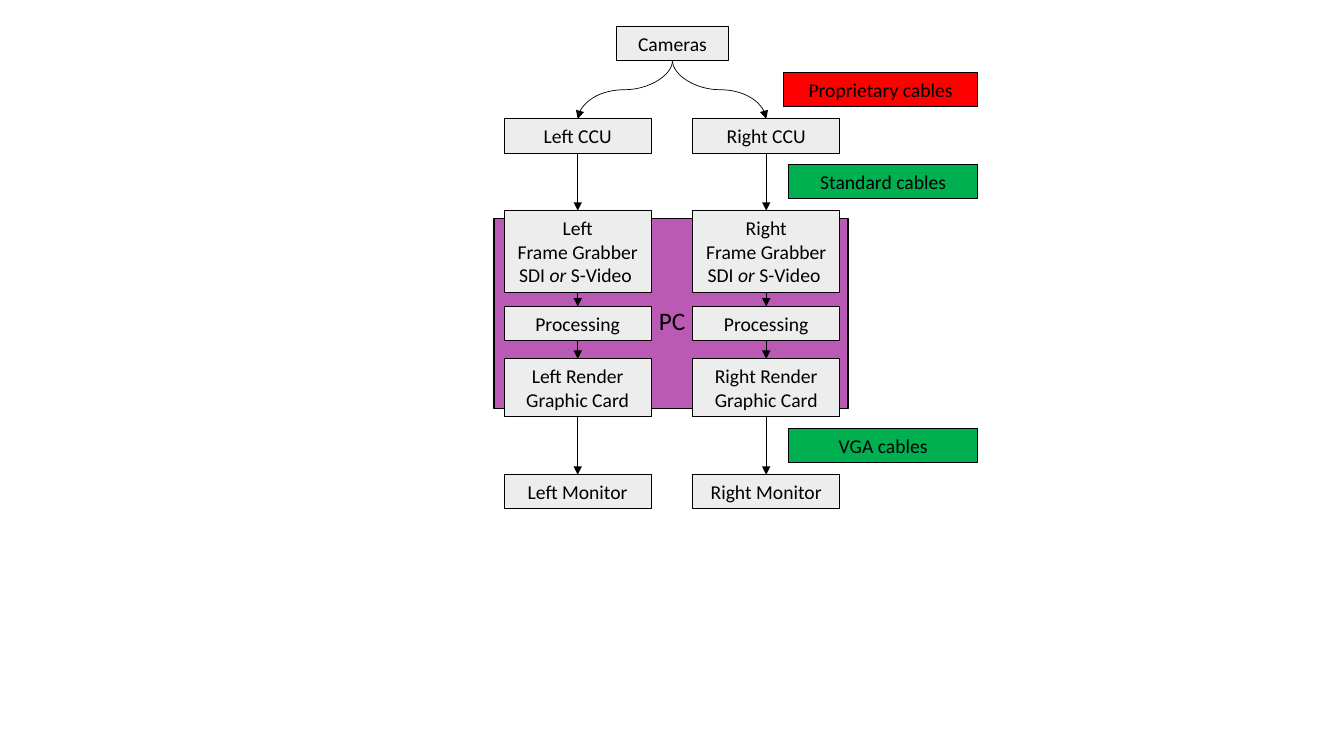
from lxml import etree
from pptx import Presentation
from pptx.dml.color import RGBColor
from pptx.enum.shapes import MSO_CONNECTOR, MSO_SHAPE
from pptx.enum.text import MSO_ANCHOR, PP_ALIGN
from pptx.oxml.ns import qn
from pptx.util import Inches, Pt

RECTANGLE = MSO_SHAPE.RECTANGLE
STRAIGHT, CURVE = MSO_CONNECTOR.STRAIGHT, MSO_CONNECTOR.CURVE
CENTER, MIDDLE = PP_ALIGN.CENTER, MSO_ANCHOR.MIDDLE
TOP, BOTTOM = 0, 2

COLORS = {"ink": "000000", "stage": "EDEDED", "pc": "BB5AB5",
          "closed": "FF0000", "open": "00B050"}
SIDES = {"Left": 5.73, "Right": 7.6}
STAGES = [
    (1.18, 0.34, ["{side} CCU"]),
    (2.09, 0.81, ["{side}", "Frame Grabber", "SDI |or| S-Video "]),
    (3.04, 0.34, ["Processing"]),
    (3.56, 0.57, ["{side} Render", "Graphic Card"]),
    (4.71, 0.34, ["{side} Monitor"]),
]
CABLES = [
    ("Proprietary cables", "closed", 0.72, 1.93),
    ("Standard cables", "open", 1.63, 1.88),
    ("VGA cables", "open", 4.25, 1.88),
]
CAMERAS = (6.11, 0.26, 1.12, 0.34)
PC_CASE = (4.9, 2.17, 3.51, 1.88)
PC_LABEL = (6.42, 2.98, 0.49, 0.4)
STAGE_WIDTH = 1.46
CABLE_RIGHT = 9.7


def color(name):
    return RGBColor.from_string(COLORS[name])


def write(shape, lines, size=14, wrap=True):
    frame = shape.text_frame
    for name, value in {"word_wrap": wrap, "vertical_anchor": MIDDLE}.items():
        setattr(frame, name, value)
    for index, line in enumerate(lines):
        para = frame.add_paragraph() if index else frame.paragraphs[0]
        para.alignment = CENTER
        for part, words in enumerate(line.split("|")):
            span = para.add_run()
            span.text = words
            span.font.color.rgb = color("ink")
            style = {"name": "Calibri", "size": Pt(size), "italic": part == 1}
            for name, value in style.items():
                setattr(span.font, name, value)


def add_box(page, place, fill, lines=(), weight=0.75):
    box = page.shapes.add_shape(RECTANGLE, *map(Inches, place))
    box.shadow.inherit = False
    box.fill.solid()
    box.fill.fore_color.rgb = color(fill)
    box.line.color.rgb = color("ink")
    box.line.width = Pt(weight)
    write(box, lines)
    return box


def add_arrow(page, kind, points):
    arrow = page.shapes.add_connector(kind, *map(int, points))
    arrow.line.color.rgb = color("ink")
    arrow.line.width = Pt(0.5)
    etree.SubElement(arrow.line._get_or_add_ln(), qn("a:tailEnd"), type="triangle")
    etree.SubElement(arrow._element.spPr, qn("a:effectLst"))
    return arrow


def join(page, upper, lower):
    arrow = add_arrow(page, STRAIGHT, (0, 0, 0, 0))
    arrow.begin_connect(upper, BOTTOM)
    arrow.end_connect(lower, TOP)


def branch(page, upper, lower):
    start_x, start_y = upper.left + upper.width / 2, upper.top + upper.height
    end_x, end_y = lower.left + lower.width / 2, lower.top
    middle_x, middle_y = (start_x + end_x) / 2, (start_y + end_y) / 2
    across, down = abs(end_x - start_x) / 2, (end_y - start_y) / 2
    turn, way = (90, 1) if end_x < start_x else (270, -1)
    arrow = add_arrow(page, CURVE, (middle_x - way * down, middle_y - across,
                                    middle_x + way * down, middle_y + across))
    arrow._element.spPr.find(qn("a:xfrm")).set("rot", str(turn * 60000))


def main():
    deck = Presentation()
    deck.slide_width, deck.slide_height = Inches(13.33), Inches(7.5)
    page = deck.slides.add_slide(deck.slide_layouts[6])
    add_box(page, PC_CASE, "pc", weight=1)
    cameras = add_box(page, CAMERAS, "stage", ["Cameras"])
    for side, center in SIDES.items():
        boxes = [
            add_box(page, (center - STAGE_WIDTH / 2, top, STAGE_WIDTH, height),
                    "stage", [line.format(side=side) for line in lines])
            for top, height, lines in STAGES
        ]
        branch(page, cameras, boxes[0])
        for upper, lower in zip(boxes, boxes[1:]):
            join(page, upper, lower)
    for label, fill, top, width in CABLES:
        add_box(page, (CABLE_RIGHT - width, top, width, 0.34), fill, [label])
    write(page.shapes.add_textbox(*map(Inches, PC_LABEL)), ["PC"], 18, False)
    deck.save("out.pptx")


if __name__ == "__main__":
    main()
